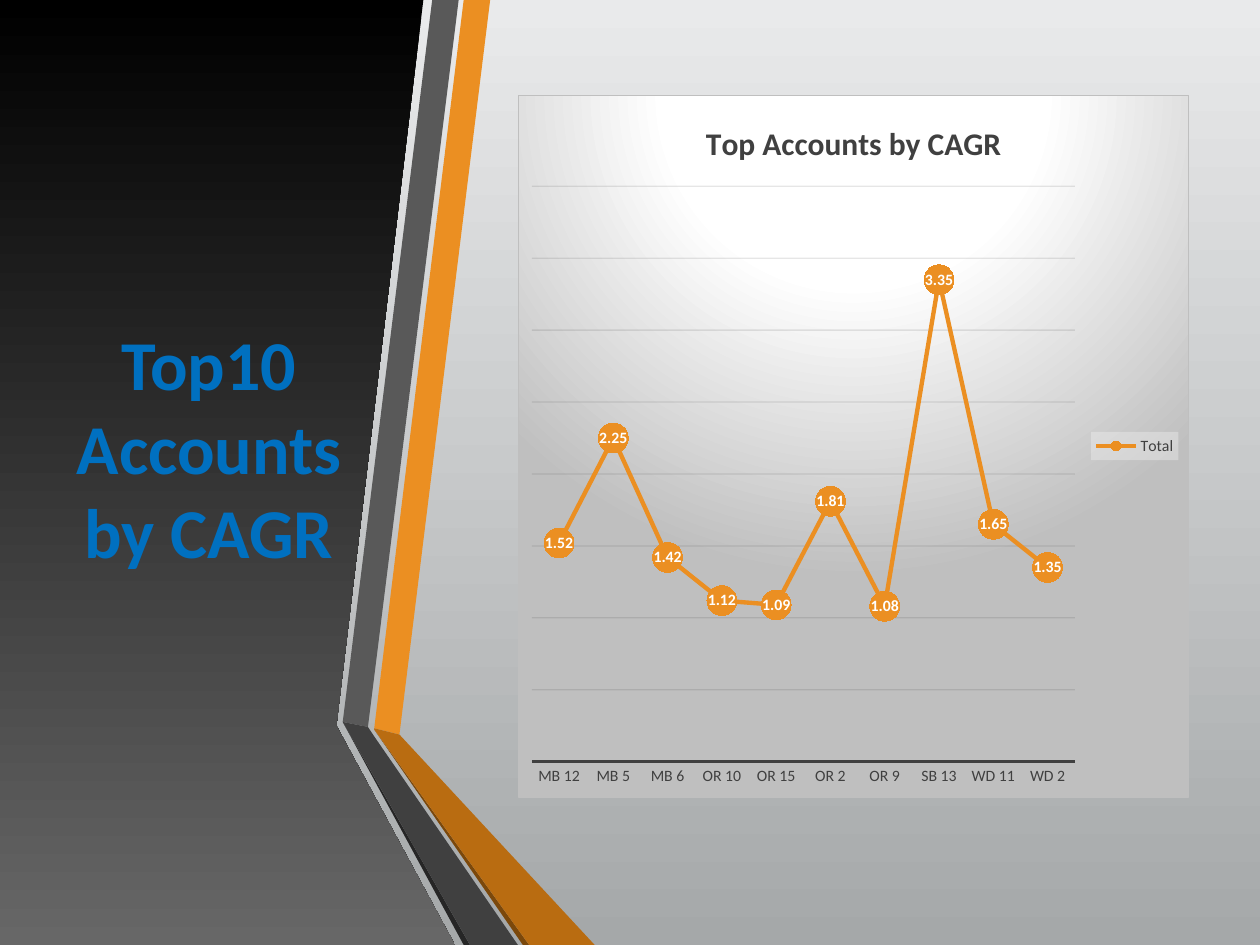
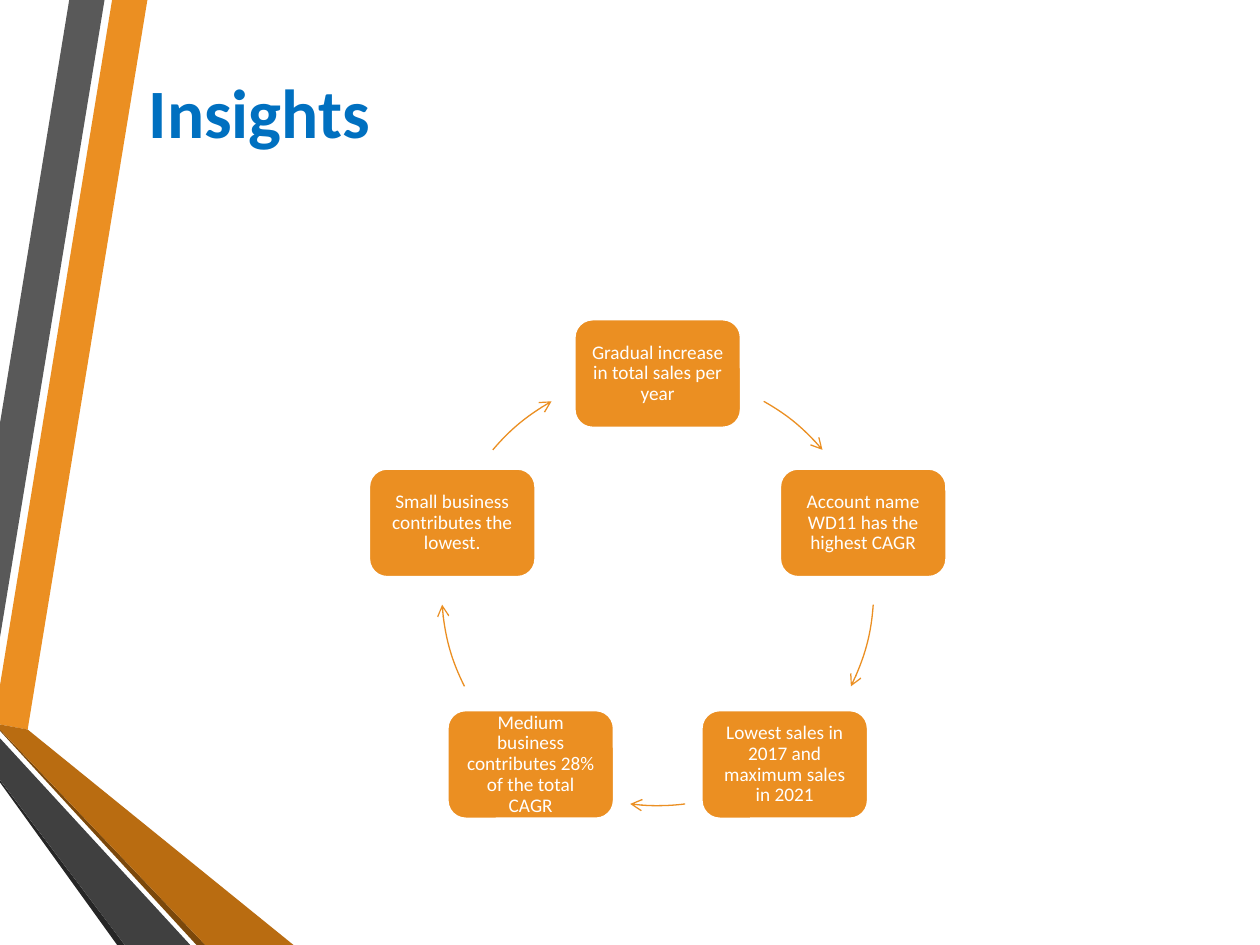
from dataclasses import dataclass
from math import cos, radians, sin

from pptx import Presentation
from pptx.chart.data import CategoryChartData
from pptx.dml.color import RGBColor
from pptx.enum.chart import (XL_CHART_TYPE, XL_LABEL_POSITION, XL_LEGEND_POSITION,
                             XL_MARKER_STYLE, XL_TICK_MARK)
from pptx.enum.shapes import MSO_SHAPE
from pptx.enum.text import MSO_ANCHOR, PP_ALIGN
from pptx.oxml import parse_xml
from pptx.oxml.ns import nsdecls, qn
from pptx.util import Inches, Pt


@dataclass(frozen=True)
class Theme:
    font: str = "Calibri"
    blue: str = "0070C0"
    orange: str = "EB8F22"
    rust: str = "B96C11"
    brown: str = "7B480B"
    gray: str = "595959"
    dark: str = "404040"
    deep: str = "262626"
    ash: str = "676767"
    black: str = "000000"
    white: str = "FFFFFF"
    mist: str = "E9EAEB"
    steel: str = "A5A8A9"
    edge: str = "BFBFBF"
    grid: str = "0D0D0D"
    head: float = 40
    sub: float = 39.6
    label: float = 18
    node: float = 11
    small: float = 9


T = Theme()
COLS, ROWS = 100, 75
CELL = Inches(0.1)

# Folded bands: colour and corner points in grid cells
WIDE = [
    (T.orange, [(29.7, 57.8), (31.7, 58.3), (38.9, 0), (36.8, 0)]),
    (T.gray, [(36.4, 0), (34.3, 0), (27.2, 57.3), (29.2, 57.7)]),
    (T.deep, [(27.2, 57.3), (36.8, 75), (37.3, 75)]),
    (T.brown, [(29.7, 57.9), (41.5, 75), (42, 75)]),
    (T.rust, [(29.7, 57.9), (42, 75), (47.2, 75), (31.7, 58.3), (29.7, 57.8)]),
    (T.dark, [(41.1, 75), (29.6, 58.3), (29.2, 57.7), (27.2, 57.3), (37.3, 75)]),
]
SLIM = [
    (T.orange, [(0, 54.4), (0, 57.5), (2.2, 57.9), (11.7, 0), (8.9, 0)]),
    (T.gray, [(8.3, 0), (5.5, 0), (0, 33.6), (0, 50.6)]),
    (T.deep, [(0, 61.9), (0, 62.1), (9.3, 75), (9.9, 75)]),
    (T.brown, [(0, 57.9), (0, 58), (15.6, 75), (16.3, 75)]),
    (T.rust, [(0, 57.9), (16.3, 75), (23.3, 75), (2.2, 57.9), (0, 57.5)]),
    (T.dark, [(0, 61.9), (9.9, 75), (15.1, 75), (0, 58.6)]),
]
PANEL = [(0, 0), (33.6, 0), (26.7, 57.6), (36.1, 75), (0, 75)]

SALES = {"MB 12": 1.52, "MB 5": 2.25, "MB 6": 1.42, "OR 10": 1.12, "OR 15": 1.09,
         "OR 2": 1.81, "OR 9": 1.08, "SB 13": 3.35, "WD 11": 1.65, "WD 2": 1.35}

# Cycle: notes clockwise from the top, arrow spans in degrees from the top
NOTES = ["Gradual increase in total sales per year",
         "Account name WD11 has the highest CAGR",
         "Lowest sales in 2017 and maximum sales in 2021",
         "Medium business contributes 28% of the total CAGR",
         "Small business contributes the lowest."]
HALF = [(29.4, 49.7), (94, 116.6)]
SPANS = HALF + [(172.7, 187.3)] + [(360 - b, 360 - a) for a, b in HALF[::-1]]


def cells(*nums):
    return [round(n * CELL) for n in nums]


def tone(code):
    return RGBColor.from_string(code)


def style(font, size, color, bold=False):
    font.name, font.size, font.bold = T.font, Pt(size), bold
    font.color.rgb = tone(color)


def paint(fill, color):
    fill.solid()
    fill.fore_color.rgb = tone(color)


def blend(fill, top, base):
    fill.gradient()
    fill.gradient_angle = 270
    for stop, color in zip(fill.gradient_stops, (top, base)):
        stop.color.rgb = tone(color)


def write(frame, text, size, color, bold=False, align=PP_ALIGN.CENTER,
          anchor=MSO_ANCHOR.MIDDLE, inset=(0.1, 0.05), space=None):
    frame.word_wrap = True
    frame.vertical_anchor = anchor
    frame.margin_left = frame.margin_right = Inches(inset[0])
    frame.margin_top = frame.margin_bottom = Inches(inset[1])
    para = frame.paragraphs[0]
    para.alignment, para.line_spacing = align, space
    run = para.add_run()
    run.text = text
    style(run.font, size, color, bold)


def title(slide, box, text, size, **look):
    frame = slide.shapes.add_textbox(*cells(*box)).text_frame
    write(frame, text, size, T.blue, True, **look)


def outline(slide, points):
    first, *rest = [cells(*point) for point in points]
    maker = slide.shapes.build_freeform(*first)
    maker.add_line_segments(rest)
    shape = maker.convert_to_shape()
    shape.line.fill.background()
    shape.shadow.inherit = False
    return shape


def bands(slide, parts):
    for color, points in parts:
        paint(outline(slide, points).fill, color)


# Chart parts
def glow(chart):
    stops = "".join(f'<a:gs pos="{pos}"><a:srgbClr val="{color}"/></a:gs>' for pos, color in
                    ((0, T.white), (39000, T.white), (100000, T.edge)))
    props = parse_xml(
        f'<c:spPr {nsdecls("c", "a")}><a:gradFill><a:gsLst>{stops}</a:gsLst>'
        '<a:path path="circle"><a:fillToRect l="50000" t="-80000" r="50000" b="180000"/></a:path>'
        f'</a:gradFill><a:ln w="9525"><a:solidFill><a:srgbClr val="{T.edge}"/></a:solidFill></a:ln>'
        '</c:spPr>')
    chart._chartSpace.find(qn("c:chart")).addnext(props)


def place(chart, x, y, w, h):
    area = chart._chartSpace.find(".//" + qn("c:plotArea"))
    for old in area.findall(qn("c:layout")):
        area.remove(old)
    sizes = "".join(f'<c:{key} val="{val}"/>' for key, val in zip("xywh", (x, y, w, h)))
    area.insert(0, parse_xml(
        f'<c:layout {nsdecls("c")}><c:manualLayout><c:layoutTarget val="inner"/>'
        f'<c:xMode val="edge"/><c:yMode val="edge"/>{sizes}</c:manualLayout></c:layout>'))


def axes(chart):
    base = chart.category_axis
    base.major_tick_mark = XL_TICK_MARK.NONE
    style(base.tick_labels.font, T.small, T.dark)
    base.format.line.width = Pt(1.5)
    base.format.line.color.rgb = tone(T.dark)
    side = chart.value_axis
    side.minimum_scale, side.maximum_scale, side.major_unit = 0, 4, 0.5
    side.has_major_gridlines = True
    line = side.major_gridlines.format.line
    line.width = Pt(0.75)
    line.color.rgb = tone(T.grid)
    mark = side.major_gridlines._xAx.find(".//" + qn("c:majorGridlines"))
    mark.find(".//" + qn("a:srgbClr")).append(
        parse_xml(f'<a:alpha {nsdecls("a")} val="10000"/>'))
    side.visible = False


def legend(chart):
    chart.has_legend = True
    key = chart.legend
    key.position = XL_LEGEND_POSITION.RIGHT
    key.include_in_layout = False
    style(key.font, T.small, T.dark)
    key._element.find(qn("c:txPr")).addprevious(parse_xml(
        f'<c:spPr {nsdecls("c", "a")}><a:solidFill><a:srgbClr val="F2F2F2">'
        '<a:alpha val="39000"/></a:srgbClr></a:solidFill></c:spPr>'))


def graph(slide, box, name, text, data):
    table = CategoryChartData()
    table.categories = list(data)
    table.add_series(name, list(data.values()))
    chart = slide.shapes.add_chart(XL_CHART_TYPE.LINE_MARKERS, *cells(*box), table).chart
    style(chart.font, 10, T.black)
    chart.has_title = True
    run = chart.chart_title.text_frame.paragraphs[0].add_run()
    run.text = text
    style(run.font, T.label, T.dark, True)
    chart.chart_title.include_in_layout = False
    axes(chart)
    legend(chart)
    glow(chart)
    place(chart, 0.02, 0.13, 0.81, 0.82)

    plot = chart.plots[0]
    plot.vary_by_categories = False
    trace = plot.series[0]
    trace.smooth = False
    trace.format.line.width = Pt(2.5)
    trace.format.line.color.rgb = tone(T.orange)
    trace.marker.style, trace.marker.size = XL_MARKER_STYLE.CIRCLE, 17
    paint(trace.marker.format.fill, T.orange)
    trace.marker.format.line.fill.background()
    tags = trace.data_labels
    tags.show_value, tags.position = True, XL_LABEL_POSITION.CENTER
    style(tags.font, T.small, T.white, True)


# Cycle parts
def node(slide, x, y, text, wide=13.2, high=8.6):
    box = cells(x - wide / 2, y - high / 2, wide, high)
    shape = slide.shapes.add_shape(MSO_SHAPE.ROUNDED_RECTANGLE, *box)
    shape.shadow.inherit = False
    paint(shape.fill, T.orange)
    shape.line.width = Pt(1.25)
    shape.line.color.rgb = tone(T.white)
    write(shape.text_frame, text, T.node, T.white, inset=(0.09, 0.09), space=0.9)


def arrow(slide, x, y, reach, span):
    box = cells(x - reach, y - reach, 2 * reach, 2 * reach)
    arc = slide.shapes.add_shape(MSO_SHAPE.ARC, *box)
    arc.shadow.inherit = False
    arc.fill.background()
    for i, angle in enumerate(span):
        arc.adjustments[i] = (angle - 90) % 360 * 0.6  # unit: 100000 / 60000 degree
    arc.line.width = Pt(0.75)
    arc.line.color.rgb = tone(T.orange)
    arc.line._get_or_add_ln().append(parse_xml(f'<a:tailEnd {nsdecls("a")} type="arrow"/>'))


def cycle(slide, x, y, reach, notes, spans):
    for i, (text, span) in enumerate(zip(notes, spans)):
        turn = radians(360 / len(notes) * i)
        node(slide, x + reach * sin(turn), y - reach * cos(turn), text)
        arrow(slide, x, y, reach, span)


def main():
    deck = Presentation()
    deck.slide_width, deck.slide_height = cells(COLS, ROWS)
    blank = deck.slide_layouts[6]

    # Top accounts
    slide = deck.slides.add_slide(blank)
    blend(slide.background.fill, T.mist, T.steel)
    blend(outline(slide, PANEL).fill, T.black, T.ash)
    title(slide, (4.4, 7.5, 24.4, 55.8), "Top10 Accounts by CAGR", T.head)
    bands(slide, WIDE)
    graph(slide, (41.1, 7.5, 53.3, 55.8), "Total", "Top Accounts by CAGR", SALES)

    # Insights
    slide = deck.slides.add_slide(blank)
    paint(slide.background.fill, T.white)
    bands(slide, SLIM)
    title(slide, (11.8, 5, 79.8, 13.6), "Insights", T.sub, align=PP_ALIGN.LEFT,
          anchor=MSO_ANCHOR.TOP, inset=(0, 0.05))
    cycle(slide, 52.2, 46.8, 17.15, NOTES, SPANS)

    deck.save("out.pptx")


if __name__ == "__main__":
    main()
